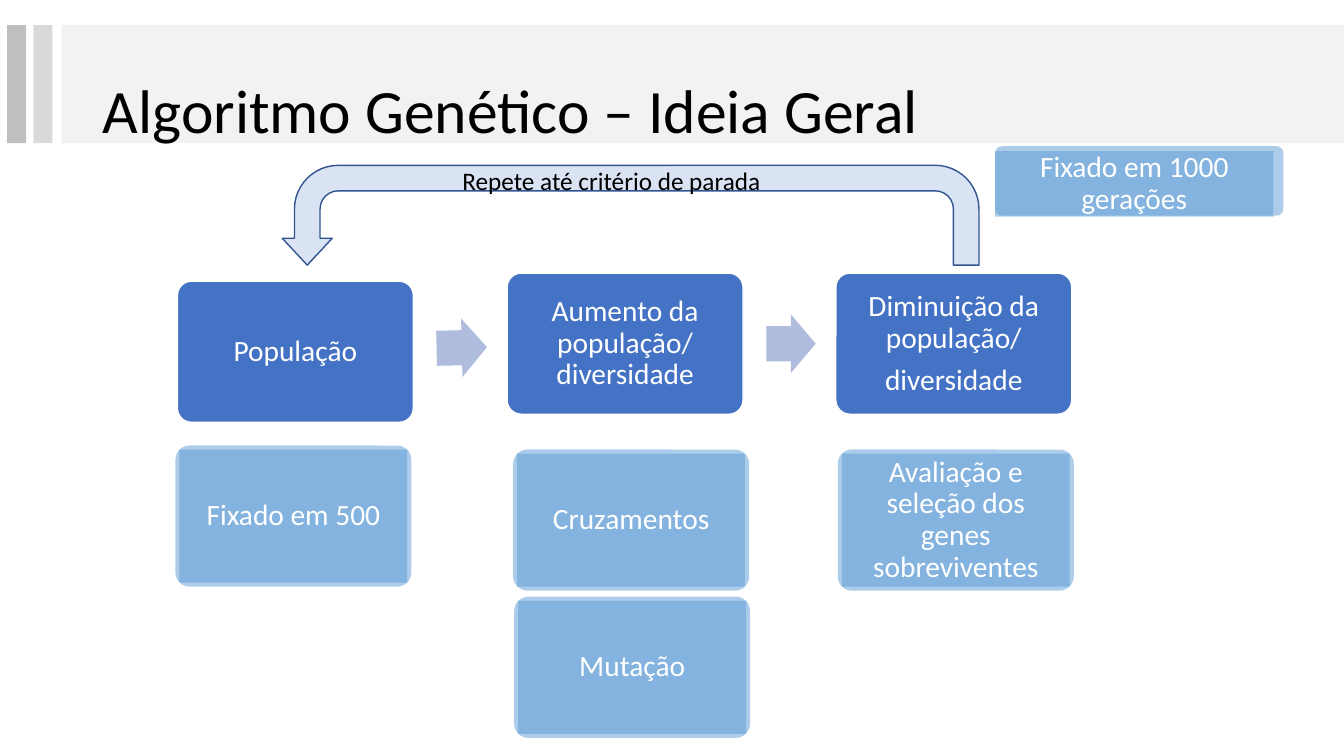
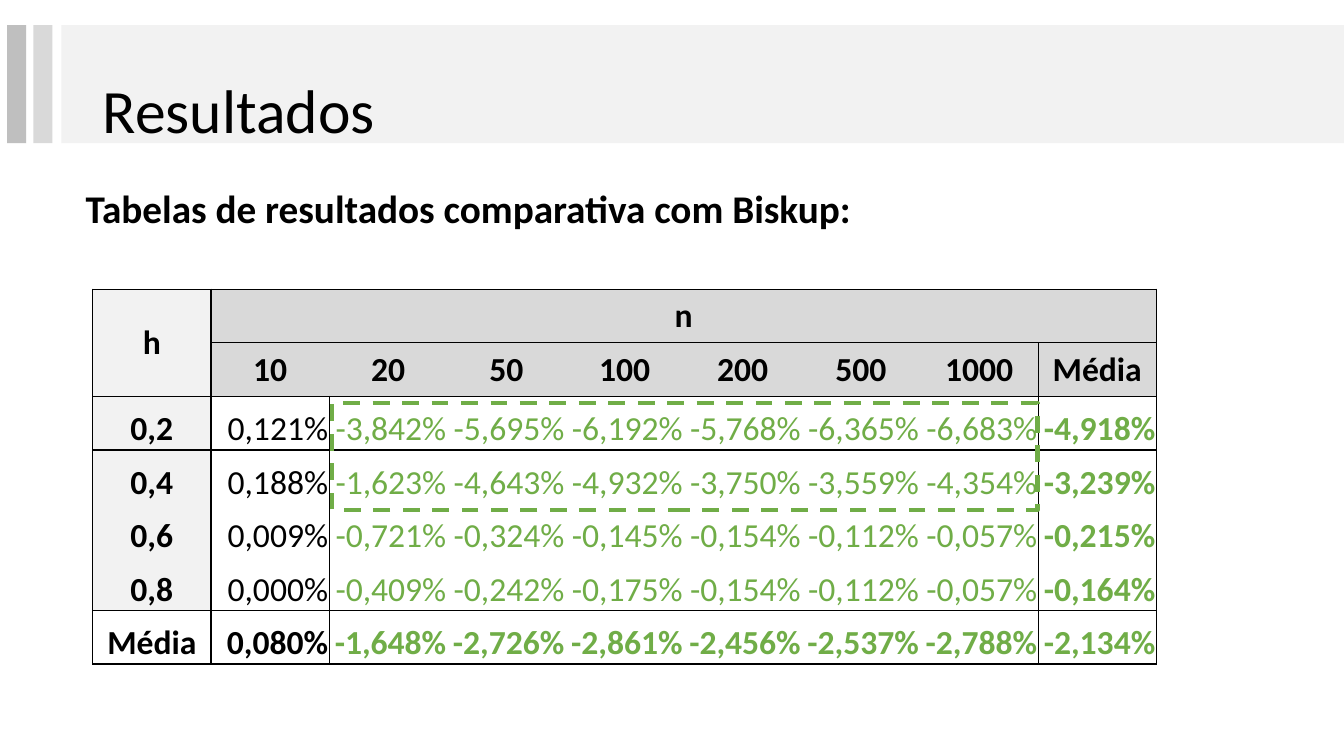
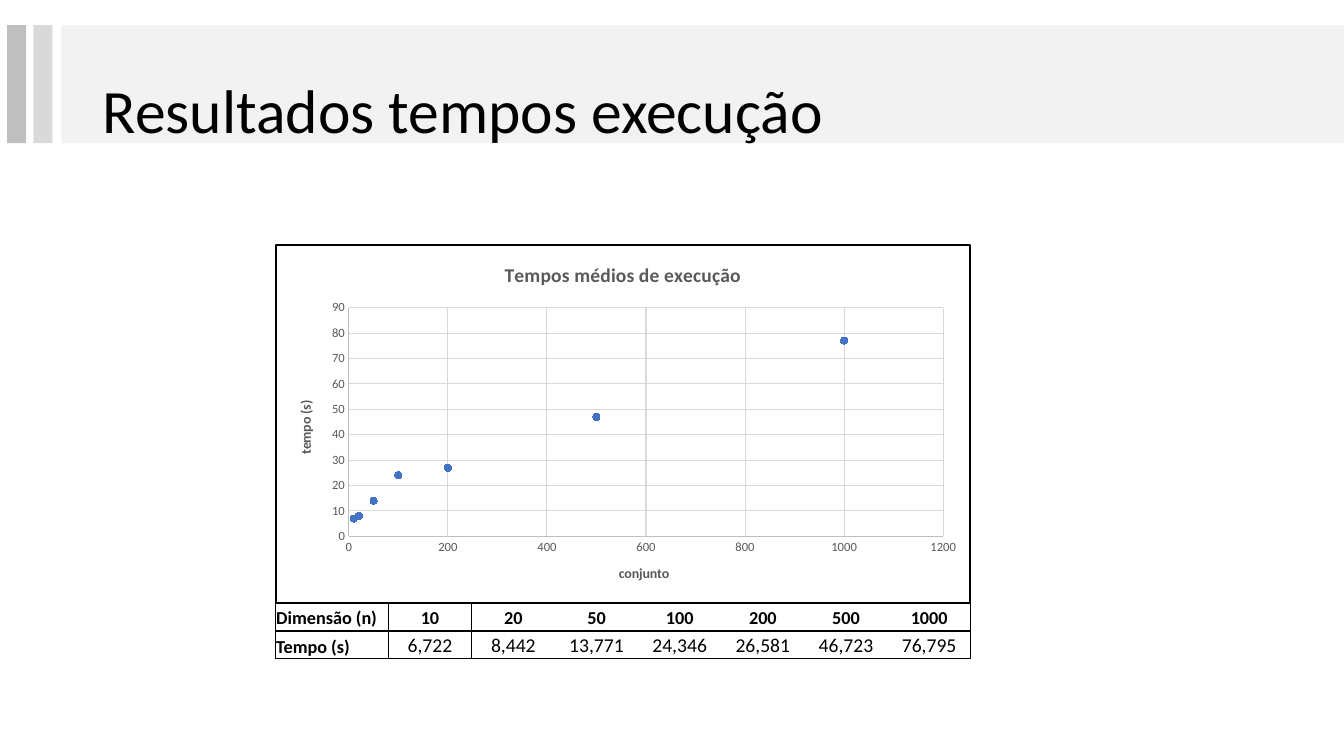
"""Build three slides on a genetic algorithm: its outline, its results and its run times."""
from lxml import etree
from pptx import Presentation
from pptx.chart.data import XyChartData
from pptx.dml.color import RGBColor
from pptx.enum.chart import XL_CHART_TYPE, XL_MARKER_STYLE, XL_TICK_MARK
from pptx.enum.dml import MSO_LINE
from pptx.enum.shapes import MSO_SHAPE
from pptx.enum.text import MSO_ANCHOR, PP_ALIGN
from pptx.oxml.ns import qn
from pptx.util import Inches, Pt

RECTANGLE, ROUNDED = MSO_SHAPE.RECTANGLE, MSO_SHAPE.ROUNDED_RECTANGLE
RIGHT_ARROW, U_TURN_ARROW = MSO_SHAPE.RIGHT_ARROW, MSO_SHAPE.U_TURN_ARROW
LEFT, CENTER, RIGHT = PP_ALIGN.LEFT, PP_ALIGN.CENTER, PP_ALIGN.RIGHT
TOP, MIDDLE, BOTTOM = MSO_ANCHOR.TOP, MSO_ANCHOR.MIDDLE, MSO_ANCHOR.BOTTOM
DASH, CIRCLE, NO_TICK = MSO_LINE.DASH, XL_MARKER_STYLE.CIRCLE, XL_TICK_MARK.NONE
SCATTER = XL_CHART_TYPE.XY_SCATTER

FONT = "Calibri"
BLACK, WHITE, GREEN = "000000", "FFFFFF", "70AD47"
BLUE, SOFT_BLUE, PALE_BLUE, ARROW_BLUE, EDGE_BLUE = "4472C4", "5B9BD5", "DAE3F3", "B0BCDE", "325491"
LIGHT_GRAY, GRAY, DARK_GRAY, TEXT_GRAY = "F2F2F2", "D9D9D9", "BFBFBF", "595959"
TITLE_ONLY, TITLE_AND_BODY = 5, 1

BANDS = [(0.61, 12.72, LIGHT_GRAY), (0.33, 0.19, GRAY), (0.07, 0.19, DARK_GRAY)]
TITLE_BOX = (0.92, 0.4, 11.5, 1.45)

CARD_WIDTH, CARD_HEIGHT, CARD_INSET = 2.34, 1.4, 0.04
STEPS = [
    (1.76, 2.79, "População"),
    (5.03, 2.71, "Aumento da população/ diversidade"),
    (8.29, 2.71, "Diminuição da população/\ndiversidade"),
]
STEP_ARROWS = [((4.33, 3.16, 0.5, 0.58), 358.7), ((7.6, 3.12, 0.49, 0.58), 0)]
DETAILS = [
    (5.09, 4.46, "Cruzamentos"),
    (5.1, 5.92, "Mutação"),
    (8.31, 4.46, "Avaliação e seleção dos genes sobreviventes"),
    (1.74, 4.42, "Fixado em 500"),
]
LIMIT = ((9.87, 1.45, 2.86, 0.69), (9.87, 1.5, 2.76, 0.65), "Fixado em 1000 gerações")
LOOP_BOX, LOOP_ADJUSTMENTS = (2.8, 1.64, 6.91, 0.99), (0.256, 0.25, 0.269, 0.438, 1)
LOOP_CAPTION = "Repete até critério de parada"

RESULTS = [
    ["h", "n", "", "", "", "", "", "", ""],
    ["", "10", "20", "50", "100", "200", "500", "1000", "Média"],
    ["0,2", "0,121%", "-3,842%", "-5,695%", "-6,192%", "-5,768%", "-6,365%", "-6,683%", "-4,918%"],
    ["0,4", "0,188%", "-1,623%", "-4,643%", "-4,932%", "-3,750%", "-3,559%", "-4,354%", "-3,239%"],
    ["0,6", "0,009%", "-0,721%", "-0,324%", "-0,145%", "-0,154%", "-0,112%", "-0,057%", "-0,215%"],
    ["0,8", "0,000%", "-0,409%", "-0,242%", "-0,175%", "-0,154%", "-0,112%", "-0,057%", "-0,164%"],
    ["Média", "0,080%", "-1,648%", "-2,726%", "-2,861%", "-2,456%", "-2,537%", "-2,788%", "-2,134%"],
]
RESULT_BOX, RESULT_LABEL_WIDTHS = (0.92, 2.87, 10.55, 3.72), []
RESULT_MERGES = [((0, 0), (1, 0)), ((0, 1), (0, 8))]
RESULT_ROW_LINES = {0: (0, 9), 1: (1, 9), 2: (0, 9), 3: (0, 9), 6: (0, 9), 7: (0, 9)}
RESULT_COLUMN_LINES = {0: (0, 7), 1: (0, 7), 2: (2, 7), 8: (1, 7), 9: (0, 7)}

TIMES = [
    ["Dimensão (n)", "10", "20", "50", "100", "200", "500", "1000"],
    ["Tempo (s)", "6,722", "8,442", "13,771", "24,346", "26,581", "46,723", "76,795"],
]
TIME_BOX, TIME_LABEL_WIDTHS = (2.73, 5.99, 6.9, 0.54), [1.12, 0.83]
TIME_ROW_LINES = {line: (0, 8) for line in (0, 1, 2)}
TIME_COLUMN_LINES = {line: (0, 2) for line in (0, 1, 2, 8)}


def color(value):
    return RGBColor.from_string(value)


def inches(box):
    return [Inches(length) for length in box]


def style_font(font, size, value=BLACK, bold=False):
    font.name, font.size, font.bold = FONT, Pt(size), bold
    font.color.rgb = color(value)


def set_text(frame, text, size, value=BLACK, bold=False, align=CENTER, anchor=MIDDLE,
             spacing=None, before=0, after=0):
    frame.text, frame.word_wrap, frame.vertical_anchor = text, True, anchor
    for paragraph in frame.paragraphs:
        style_font(paragraph.font, size, value, bold)
        paragraph.alignment, paragraph.line_spacing = align, spacing
        paragraph.space_before, paragraph.space_after = Pt(before), Pt(after)


def add_shape(slide, kind, box, fill=None, line=None, width=1, alpha=None, adjustments=()):
    shape = slide.shapes.add_shape(kind, *inches(box))
    shape.shadow.inherit = False
    for index, adjustment in enumerate(adjustments):
        shape.adjustments[index] = adjustment
    if fill:
        shape.fill.solid()
        shape.fill.fore_color.rgb = color(fill)
    else:
        shape.fill.background()
    if alpha:
        tint = shape.element.spPr.find(".//" + qn("a:srgbClr"))
        etree.SubElement(tint, qn("a:alpha"), val=str(alpha * 1000))
    if line:
        shape.line.color.rgb, shape.line.width = color(line), Pt(width)
    else:
        shape.line.fill.background()
    return shape


def place(shape, box):
    shape.left, shape.top, shape.width, shape.height = inches(box)


def add_slide(presentation, title_text, layout=TITLE_ONLY):
    slide = presentation.slides.add_slide(presentation.slide_layouts[layout])
    for left, width, fill in BANDS:
        add_shape(slide, RECTANGLE, (left, 0.25, width, 1.17), fill)
    title = slide.shapes.title
    place(title, TITLE_BOX)
    set_text(title.text_frame, title_text, 44, align=LEFT, spacing=0.9)
    title.element.getparent().append(title.element)
    return slide


def set_card_text(shape, text):
    frame = shape.text_frame
    frame.margin_left = frame.margin_right = frame.margin_top = frame.margin_bottom = Inches(0.09)
    set_text(frame, text, 21, WHITE, spacing=0.9, after=7.35)


def add_soft_card(slide, outer, inner, text):
    add_shape(slide, ROUNDED, outer, SOFT_BLUE, alpha=50, adjustments=[0.1])
    set_card_text(add_shape(slide, RECTANGLE, inner, SOFT_BLUE, alpha=50), text)


def set_borders(cell, sides):
    properties = cell._tc.get_or_add_tcPr()
    for index, (side, drawn) in enumerate(sides.items()):
        border = etree.Element(qn("a:ln" + side), w=str(Pt(1) if drawn else 0))
        if drawn:
            fill = etree.SubElement(border, qn("a:solidFill"))
            etree.SubElement(fill, qn("a:srgbClr"), val=BLACK)
        else:
            etree.SubElement(border, qn("a:noFill"))
        properties.insert(index, border)


def add_grid(slide, rows, box, label_widths, style, row_lines, column_lines, merges=()):
    table = slide.shapes.add_table(len(rows), len(rows[0]), *inches(box)).table
    table.first_row = table.horz_banding = False
    equal_count = len(rows[0]) - len(label_widths)
    widths = label_widths + [(box[2] - sum(label_widths)) / equal_count] * equal_count
    for column, width in zip(table.columns, widths):
        column.width = Inches(width)
    for first, last in merges:
        table.cell(*first).merge(table.cell(*last))

    def crosses(lines, boundary, position):
        start, stop = lines.get(boundary, (0, 0))
        return start <= position < stop

    for r, row in enumerate(rows):
        for c, text in enumerate(row):
            cell = table.cell(r, c)
            fill, options = style(r, c, text)
            cell.margin_left = cell.margin_right = cell.margin_top = Inches(0.01)
            cell.margin_bottom = 0
            if not cell.is_spanned:
                anchor = options.pop("anchor")
                set_text(cell.text_frame, text, **options)
                cell.vertical_anchor = anchor
            if fill:
                cell.fill.solid()
                cell.fill.fore_color.rgb = color(fill)
            else:
                cell.fill.background()
            set_borders(cell, {
                "L": crosses(column_lines, c, r),
                "R": crosses(column_lines, c + cell.span_width, r),
                "T": crosses(row_lines, r, c),
                "B": crosses(row_lines, r + cell.span_height, c),
            })


def result_style(r, c, text):
    header, last_row = r < 2, r == len(RESULTS) - 1
    fill = None
    if c == 0 and not last_row:
        fill = LIGHT_GRAY
    elif header:
        fill = GRAY
    return fill, {
        "size": 24,
        "value": GREEN if text.startswith("-") else BLACK,
        "bold": header or last_row or c in (0, 8),
        "align": CENTER if header or c == 0 else RIGHT,
        "anchor": MIDDLE if header else BOTTOM,
    }


def time_style(r, c, text):
    label = r == 0 or c == 0
    return None, {
        "size": 13 if label else 14,
        "bold": label,
        "align": LEFT if c == 0 else CENTER,
        "anchor": BOTTOM if r else MIDDLE,
    }


def build_outline(presentation):
    slide = add_slide(presentation, "Algoritmo Genético – Ideia Geral")
    loop = add_shape(slide, U_TURN_ARROW, LOOP_BOX, PALE_BLUE, EDGE_BLUE, adjustments=LOOP_ADJUSTMENTS)
    loop.element.spPr.get_or_add_xfrm().set("flipH", "1")
    for left, top, text in STEPS:
        box = (left, top, CARD_WIDTH, CARD_HEIGHT)
        set_card_text(add_shape(slide, ROUNDED, box, BLUE, WHITE, adjustments=[0.1]), text)
    for box, rotation in STEP_ARROWS:
        add_shape(slide, RIGHT_ARROW, box, ARROW_BLUE, adjustments=[0.6, 0.5]).rotation = rotation
    caption = slide.shapes.add_textbox(*inches((4.08, 1.58, 3.97, 0.42)))
    set_text(caption.text_frame, LOOP_CAPTION, 18)
    for left, top, text in DETAILS:
        outer = (left, top, CARD_WIDTH, CARD_HEIGHT)
        inner = (left + CARD_INSET, top + CARD_INSET,
                 CARD_WIDTH - 2 * CARD_INSET, CARD_HEIGHT - 2 * CARD_INSET)
        add_soft_card(slide, outer, inner, text)
    add_soft_card(slide, *LIMIT)


def build_results(presentation):
    slide = add_slide(presentation, "Resultados", TITLE_AND_BODY)
    body = slide.placeholders[1]
    place(body, (0.75, 1.83, 11.5, 4.76))
    set_text(body.text_frame, "Tabelas de resultados comparativa com Biskup:", 28, bold=True,
             align=LEFT, anchor=TOP, spacing=0.9, before=10)
    properties = body.text_frame.paragraphs[0]._p.get_or_add_pPr()
    properties.set("marL", "0")
    properties.set("indent", "0")
    etree.SubElement(properties, qn("a:buNone"))
    properties.append(properties.find(qn("a:defRPr")))
    add_grid(slide, RESULTS, RESULT_BOX, RESULT_LABEL_WIDTHS, result_style,
             RESULT_ROW_LINES, RESULT_COLUMN_LINES, RESULT_MERGES)
    add_shape(slide, RECTANGLE, (3.29, 4, 7, 1.06), line=GREEN, width=3).line.dash_style = DASH


def style_axis(axis, title, maximum, step):
    axis.minimum_scale, axis.maximum_scale, axis.major_unit = 0, maximum, step
    axis.major_tick_mark = axis.minor_tick_mark = NO_TICK
    axis.has_major_gridlines = True
    for line, value in ((axis.format.line, DARK_GRAY), (axis.major_gridlines.format.line, GRAY)):
        line.color.rgb, line.width = color(value), Pt(0.75)
    style_font(axis.tick_labels.font, 9, TEXT_GRAY)
    set_chart_title(axis.axis_title, title, 10)


def set_chart_title(title, text, size):
    title.text_frame.text = text
    style_font(title.text_frame.paragraphs[0].font, size, TEXT_GRAY, True)


def frame_chart(chart):
    properties = etree.Element(qn("c:spPr"))
    border = etree.SubElement(properties, qn("a:ln"), w=str(Pt(1.5)))
    fill = etree.SubElement(border, qn("a:solidFill"))
    etree.SubElement(fill, qn("a:srgbClr"), val=BLACK)
    chart.element.find(qn("c:txPr")).addprevious(properties)


def build_times(presentation):
    slide = add_slide(presentation, "Resultados tempos execução")
    data = XyChartData()
    points = data.add_series("Tempo (s)")
    for size, seconds in zip(TIMES[0][1:], TIMES[1][1:]):
        points.add_data_point(int(size), round(float(seconds.replace(",", "."))))
    chart = slide.shapes.add_chart(SCATTER, *inches((2.73, 2.42, 6.9, 3.57)), data).chart
    style_font(chart.font, 10)
    frame_chart(chart)
    chart.has_legend = False
    set_chart_title(chart.chart_title, "Tempos médios de execução", 14)
    style_axis(chart.category_axis, "conjunto", 1200, 200)
    style_axis(chart.value_axis, "tempo (s)", 90, 10)
    chart.plots[0].vary_by_categories = False
    series = chart.plots[0].series[0]
    series.smooth = False
    series.format.line.fill.background()
    series.marker.style, series.marker.size = CIRCLE, 5
    series.marker.format.fill.solid()
    series.marker.format.fill.fore_color.rgb = color(BLUE)
    series.marker.format.line.color.rgb = color(BLUE)
    add_grid(slide, TIMES, TIME_BOX, TIME_LABEL_WIDTHS, time_style,
             TIME_ROW_LINES, TIME_COLUMN_LINES)


def main():
    presentation = Presentation()
    presentation.slide_width, presentation.slide_height = Inches(13.33), Inches(7.5)
    build_outline(presentation)
    build_results(presentation)
    build_times(presentation)
    presentation.save("out.pptx")


if __name__ == "__main__":
    main()
